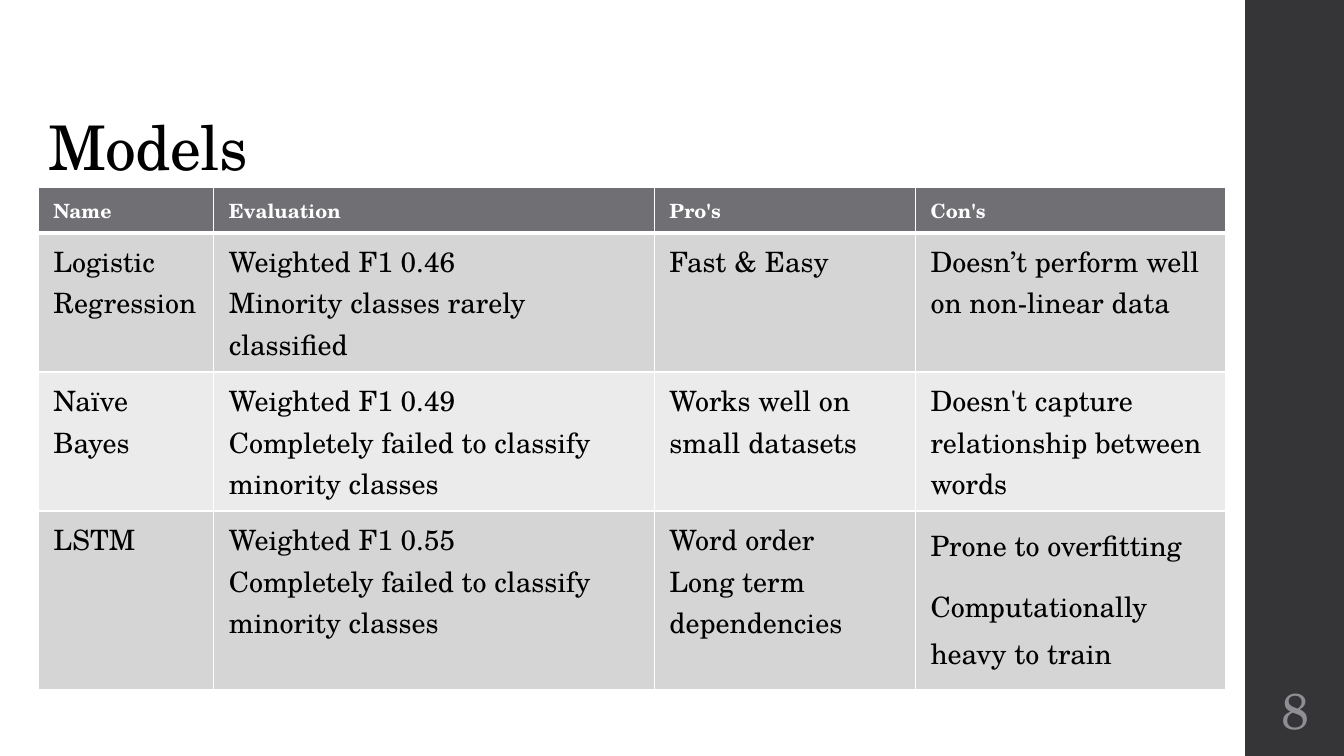
from dataclasses import dataclass

from lxml.etree import SubElement
from pptx import Presentation
from pptx.dml.color import RGBColor
from pptx.enum.shapes import MSO_SHAPE
from pptx.enum.text import MSO_ANCHOR, MSO_AUTO_SIZE, PP_ALIGN
from pptx.oxml.ns import qn
from pptx.slide import Slide
from pptx.table import _Cell
from pptx.text.text import _Paragraph
from pptx.util import Emu, Pt

FONT = "TeX Gyre Schola"
HEADER_FILL = "6F6F74"
BAND_FILLS = ("D5D5D6", "EBEBEB")
COLUMN_WIDTHS = (174, 437, 259, 308)
ROW_HEIGHTS = (45, 138, 138, 177)


@dataclass(frozen=True)
class Model:
    name: str
    evaluation: str
    pros: str
    cons: str
    loose_cons: bool = False


HEADINGS = ("Name", "Evaluation", "Pro's", "Con's")
MODELS = (
    Model("Logistic Regression", "Weighted F1 0.46\nMinority classes rarely classified",
          "Fast & Easy", "Doesn’t perform well on non-linear data"),
    Model("Naïve Bayes", "Weighted F1 0.49\nCompletely failed to classify minority classes",
          "Works well on small datasets", "Doesn't capture relationship between words"),
    Model("LSTM", "Weighted F1 0.55\nCompletely failed to classify minority classes",
          "Word order\nLong term dependencies",
          "Prone to overfitting\nComputationally heavy to train", loose_cons=True),
)


def px(length: int) -> Emu:
    """Convert px, 100 to the inch, into EMU."""
    return Emu(length * 9144)


def color(value: str) -> RGBColor:
    return RGBColor.from_string(value)


def set_font(paragraph: _Paragraph, size: int, fill: str, bold: bool = False) -> None:
    font = paragraph.font
    font.name, font.size, font.bold = FONT, Pt(size), bold
    font.color.rgb = color(fill)


def add_border(cell: _Cell, side: str, width: int) -> None:
    line = SubElement(cell._tc.get_or_add_tcPr(), qn(f"a:ln{side}"), w=str(Pt(width)))
    fill = SubElement(line, qn("a:solidFill"))
    SubElement(fill, qn("a:srgbClr"), val="FFFFFF")


def fill_cell(cell: _Cell, text: str, fill: str, header: bool, loose: bool) -> None:
    cell.text = text
    cell.margin_left = cell.margin_right = px(15)
    cell.margin_top = cell.margin_bottom = px(8)
    for side in "LRTB":
        add_border(cell, side, 3 if header and side == "B" else 1)
    cell.fill.solid()
    cell.fill.fore_color.rgb = color(fill)
    for index, paragraph in enumerate(cell.text_frame.paragraphs):
        if header:
            set_font(paragraph, 14, "FFFFFF", bold=True)
        else:
            set_font(paragraph, 20, "000000")
        if loose:
            paragraph.line_spacing = 1.14
            paragraph.space_before = Pt(8 if index else 0)
            paragraph.space_after = Pt(2)


def add_title(slide: Slide) -> None:
    title = slide.shapes.title
    title.left, title.top, title.width, title.height = px(38), px(42), px(1060), px(145)
    frame = title.text_frame
    frame.text = "Models"
    frame.auto_size = MSO_AUTO_SIZE.NONE
    frame.vertical_anchor = MSO_ANCHOR.BOTTOM
    paragraph = frame.paragraphs[0]
    paragraph.alignment = PP_ALIGN.LEFT
    paragraph.line_spacing = 0.9
    set_font(paragraph, 44, "000000")
    paragraph.runs[0].font._element.set("spc", "-50")


def add_sidebar(slide: Slide) -> None:
    sidebar = slide.shapes.add_shape(MSO_SHAPE.RECTANGLE, px(1235), px(0), px(98), px(750))
    sidebar.shadow.inherit = False
    sidebar.fill.solid()
    sidebar.fill.fore_color.rgb = color("353537")
    sidebar.line.fill.background()


def add_slide_number(slide: Slide) -> None:
    frame = slide.shapes.add_textbox(px(1235), px(675), px(100), px(65)).text_frame
    frame.word_wrap = True
    frame.vertical_anchor = MSO_ANCHOR.MIDDLE
    frame.margin_left = frame.margin_right = frame.margin_top = frame.margin_bottom = px(5)
    frame.text = "8"
    paragraph = frame.paragraphs[0]
    paragraph.alignment = PP_ALIGN.CENTER
    paragraph.line_spacing = 0.9
    paragraph.space_after = Pt(6)
    set_font(paragraph, 36, "8E8E94")


def add_model_table(slide: Slide) -> None:
    table = slide.shapes.add_table(
        len(ROW_HEIGHTS), len(COLUMN_WIDTHS), px(38), px(186),
        px(sum(COLUMN_WIDTHS)), px(sum(ROW_HEIGHTS))).table
    for column, width in zip(table.columns, COLUMN_WIDTHS):
        column.width = px(width)
    for row, height in zip(table.rows, ROW_HEIGHTS):
        row.height = px(height)
    for column, heading in enumerate(HEADINGS):
        fill_cell(table.cell(0, column), heading, HEADER_FILL, header=True, loose=False)
    for index, model in enumerate(MODELS):
        texts = (model.name, model.evaluation, model.pros, model.cons)
        for column, text in enumerate(texts):
            loose = model.loose_cons and column == len(texts) - 1
            fill_cell(table.cell(index + 1, column), text, BAND_FILLS[index % 2],
                      header=False, loose=loose)


def main() -> None:
    presentation = Presentation()
    presentation.slide_width, presentation.slide_height = px(1333), px(750)
    slide = presentation.slides.add_slide(presentation.slide_layouts.get_by_name("Title Only"))
    add_sidebar(slide)
    add_title(slide)
    add_slide_number(slide)
    add_model_table(slide)
    presentation.save("out.pptx")


if __name__ == "__main__":
    main()
